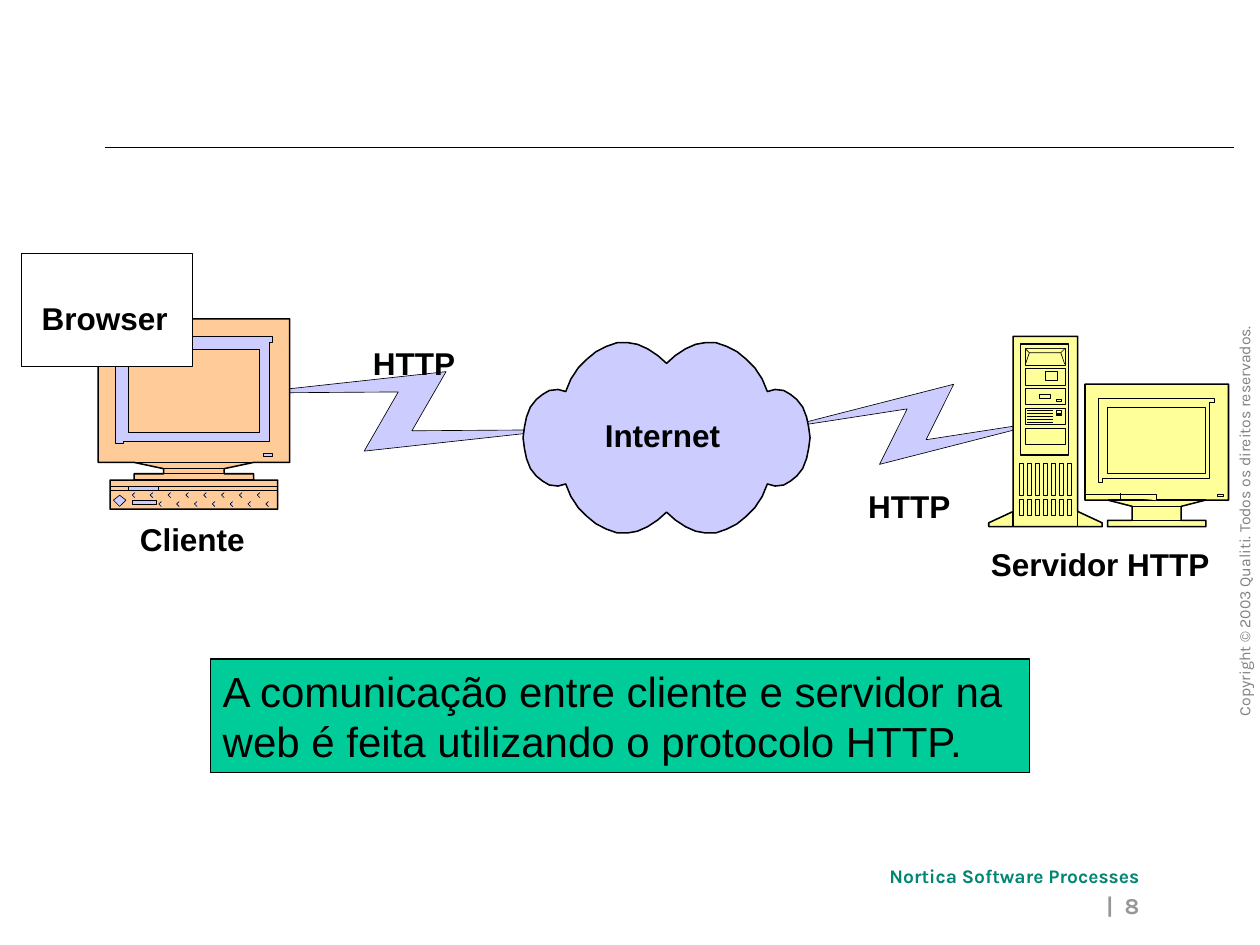
from dataclasses import dataclass, field
from typing import Any

from lxml.etree import SubElement
from pptx import Presentation
from pptx.dml.color import RGBColor
from pptx.enum.shapes import MSO_CONNECTOR as Link, MSO_SHAPE as Preset
from pptx.enum.text import MSO_ANCHOR as Anchor, MSO_AUTO_SIZE as Fit, PP_ALIGN as Align
from pptx.oxml.ns import qn
from pptx.util import Pt

Point = tuple[float, float]
Contour = list[Point]


@dataclass(frozen=True)
class Theme:
    ink: str = "000000"
    paper: str = "FFFFFF"
    client: str = "FFCC99"
    network: str = "CCCCFF"
    server: str = "FFFF99"
    message: str = "00CC99"
    brand: str = "008673"
    page: str = "969696"
    notice: str = "808080"
    thin: float = 0.37
    rule: float = 0.75
    bold_line: float = 0.88
    label: dict[str, Any] = field(
        default_factory=lambda: dict(name="Arial", size=Pt(18), bold=True))
    body: dict[str, Any] = field(
        default_factory=lambda: dict(name="Arial", size=Pt(24)))
    footer: dict[str, Any] = field(
        default_factory=lambda: dict(name="Karla", size=Pt(11), bold=True))
    number: dict[str, Any] = field(
        default_factory=lambda: dict(name="Karla", size=Pt(13), bold=True))
    small: dict[str, Any] = field(
        default_factory=lambda: dict(name="Karla", size=Pt(9)))


@dataclass(frozen=True)
class Box:
    left: float
    top: float
    width: float
    height: float

    def emu(self) -> list[int]:
        return [Pt(v) for v in (self.left, self.top, self.width, self.height)]

    def contour(self) -> Contour:
        right, bottom = self.left + self.width, self.top + self.height
        return [(self.left, self.top), (right, self.top), (right, bottom), (self.left, bottom)]


@dataclass(frozen=True)
class Label:
    text: str
    box: Box
    style: dict[str, Any]
    color: str
    wrap: bool = True
    inset: Point = (0, 0)
    align: Any = Align.LEFT
    rotation: float = 0


THEME = Theme()
deck = Presentation()
deck.slide_width, deck.slide_height = Pt(720), Pt(540)
slide = deck.slides.add_slide(deck.slide_layouts[6])
shapes = slide.shapes


def paint(shape: Any, fill: str, weight: float) -> None:
    shape.shadow.inherit = False
    shape.fill.solid()
    shape.fill.fore_color.rgb = RGBColor.from_string(fill)
    shape.line.color.rgb = RGBColor.from_string(THEME.ink)
    shape.line.width = Pt(weight)


def draw_box(box: Box, fill: str, weight: float = THEME.thin) -> Any:
    shape = shapes.add_shape(Preset.RECTANGLE, *box.emu())
    paint(shape, fill, weight)
    return shape


def draw_outline(contours: list[Contour], fill: str, weight: float = THEME.thin,
                 close: bool = True) -> None:
    to_emu = [[(Pt(x), Pt(y)) for x, y in contour] for contour in contours]
    builder = shapes.build_freeform(*to_emu[0][0])
    for index, (start, *rest) in enumerate(to_emu):
        if index:
            builder.move_to(*start)
        builder.add_line_segments(rest, close=close)
    paint(builder.convert_to_shape(), fill, weight)


def draw_line(start: Point, end: Point, weight: float = THEME.thin) -> None:
    line = shapes.add_connector(Link.STRAIGHT, *[Pt(v) for v in (*start, *end)])
    line.line.color.rgb = RGBColor.from_string(THEME.ink)
    line.line.width = Pt(weight)
    SubElement(line._element.spPr, qn("a:effectLst"))


def draw_bars(axis: float, bars: list[Point], weight: float) -> None:
    for half, y in bars:
        draw_line((axis - half, y), (axis + half, y), weight)


def write(shape: Any, label: Label) -> None:
    frame = shape.text_frame
    side, end = label.inset
    layout = dict(word_wrap=label.wrap, auto_size=Fit.SHAPE_TO_FIT_TEXT,
                  vertical_anchor=Anchor.TOP, margin_left=Pt(side), margin_right=Pt(side),
                  margin_top=Pt(end), margin_bottom=Pt(end))
    for name, value in layout.items():
        setattr(frame, name, value)
    paragraph = frame.paragraphs[0]
    paragraph.alignment = label.align
    run = paragraph.add_run()
    run.text = label.text
    for name, value in label.style.items():
        setattr(run.font, name, value)
    run.font.color.rgb = RGBColor.from_string(label.color)


def draw_label(label: Label) -> None:
    holder = shapes.add_textbox(*label.box.emu())
    holder.rotation = label.rotation
    write(holder, label)


def caption(text: str, box: Box) -> None:
    draw_label(Label(text, box, THEME.label, THEME.ink))


def mirrored(axis: float, profile: Contour) -> Contour:
    return ([(axis + half, y) for half, y in profile]
            + [(axis - half, y) for half, y in reversed(profile)])


def draw_bolt(start: Point, tip: Point, notch: Point, center: Point) -> None:
    half = [start, tip, notch]
    turned = [(2 * center[0] - x, 2 * center[1] - y) for x, y in half]
    draw_outline([half + turned], THEME.network)


def draw_client() -> None:
    axis = 110.8
    case = [(54.7, 182.2), (54.7, 264.2), (34.2, 264.2), (17.3, 267.8), (17.3, 270.7),
            (34.2, 270.7), (34.2, 274.3), (47.9, 274.3), (47.9, 290.9)]
    draw_outline([mirrored(axis, case)], THEME.client, THEME.bold_line)
    draw_bars(axis, [(34.2, 274.3), (17.3, 270.7), (17.3, 267.8), (34.2, 264.2)],
              THEME.bold_line)
    diamond = [(68.4, 289.4), (72, 285.8), (68.4, 283), (64.8, 285.8)]
    bezel = [(70.6, 252), (154.1, 252), (154.1, 195.8), (155.5, 195.8),
             (155.5, 192.2), (66.2, 192.2), (66.2, 253.4), (70.6, 253.4)]
    draw_outline([Box(73.4, 277.9, 17.3, 2.2).contour(), diamond,
                  Box(73.4, 199.4, 74.9, 47.6).contour(), bezel,
                  Box(150.5, 259.2, 5, 1.4).contour()], THEME.network)
    draw_box(Box(75.6, 285.8, 13.7, 2.2), THEME.network)
    draw_bars(axis, [(47.9, 277.9), (47.9, 280.1)], THEME.thin)
    for left, top, count in ((75.6, 281.5, 8), (90.7, 286.6, 7)):
        for x in (left + 10.2 * i for i in range(count)):
            draw_outline([[(x + 1.5, top), (x, top + 1.4), (x + 1.5, top + 2.9)]],
                         THEME.network, close=False)
    caption("Cliente", Box(79.9, 297.4, 72, 21.6))


def draw_server() -> None:
    tower_axis, monitor_axis = 597.4, 661
    tower = [(18.4, 192.2), (18.4, 292.3), (32.4, 298.8), (32.4, 301)]
    monitor = [(41, 219.6), (41, 285.8), (28.1, 285.8), (14, 289.4),
               (14, 297.4), (28.1, 297.4), (28.1, 301)]
    draw_outline([mirrored(tower_axis, tower), mirrored(monitor_axis, monitor)],
                 THEME.server, THEME.bold_line)
    for x in (tower_axis - 18.4, tower_axis + 18.4):
        draw_line((x, 292.3), (x, 301), THEME.bold_line)
    draw_box(Box(583.2, 196.6, 27.4, 63.4), THEME.server, THEME.bold_line)
    draw_bars(monitor_axis, [(14, 297.4), (14, 289.4), (28.1, 285.8)], THEME.bold_line)
    draw_outline([Box(582.5 + 4.56 * i, top, 2.4, height).contour()
                  for top, height in ((265, 18), (285.1, 9.4)) for i in range(7)],
                 THEME.server)
    for bay in range(5):
        draw_box(Box(586, 199.2 + 11.35 * bay, 22.8, 9.4), THEME.server)
    draw_outline([[(586, 199.4), (588.2, 201.6), (606.2, 201.6), (608.4, 199.4)]],
                 THEME.server, close=False)
    draw_line((586, 208.1), (588.2, 201.6))
    draw_line((606.2, 201.6), (608.4, 208.1))
    for slot in range(5):
        y = 234.7 + 1.62 * slot
        draw_line((586.8, y), (601.9, y))
    for button in (Box(597.6, 212.4, 6.5, 5), Box(603.4, 228.2, 2.9, 1.4),
                   Box(603.4, 234.7, 2.9, 1.4), Box(603.4, 236.9, 2.9, 0.7)):
        draw_box(button, THEME.server)
    bezel = [(630, 273.6), (691.2, 273.6), (691.2, 229.7), (694.1, 229.7),
             (694.1, 227.5), (627.8, 227.5), (627.8, 275.8), (630, 275.8)]
    draw_outline([Box(594, 225.4, 6.5, 2.1).contour(), Box(695.5, 282.2, 3.6, 1.5).contour(),
                  Box(632.9, 232.6, 56.1, 38.1).contour(), bezel], THEME.server)
    draw_outline([[(619.9, 282.2), (661, 282.2), (661, 285.8)]], THEME.server, close=False)
    draw_line((640.1, 285.8), (640.1, 281.5))
    caption("Servidor HTTP", Box(566.2, 311.4, 136, 21.6))


def draw_cloud() -> None:
    x, y = 380.9, 250.2
    quarter = [(0, 42.5), (5, 47), (10.8, 50.8), (16.6, 53.4), (22.3, 54.4), (28.1, 54.4),
               (34.4, 52.2), (40.3, 49.2), (45.4, 45), (50.4, 40), (54.7, 33.5),
               (57.6, 26.4), (62, 27.6), (67, 27), (70.8, 24.8), (74.4, 21.9),
               (77.8, 17.6), (80, 11.9), (81.2, 6.1), (82, 0)]
    half = ([(dx, y - dy) for dx, dy in quarter]
            + [(dx, y + dy) for dx, dy in reversed(quarter[:-1])])
    draw_outline([mirrored(x, half)], THEME.network, THEME.bold_line)
    caption("Internet", Box(345.6, 237.6, 76, 21.6))


draw_line((704.9, 84.2), (59.8, 84.2), THEME.rule)
PAD = (7.2, 3.6)
for note in (
    Label("Copyright © 2003 Qualiti. Todos os direitos reservados.",
          Box(587.5, 283.7, 247, 18), THEME.small, THEME.notice, wrap=False,
          inset=PAD, rotation=270),
    Label("Nortica Software Processes", Box(501.1, 490.3, 170, 20.9),
          THEME.footer, THEME.brand, inset=PAD),
    Label("|  8", Box(310.3, 506.2, 347.8, 23.8), THEME.number, THEME.page,
          inset=PAD, align=Align.RIGHT),
):
    draw_label(note)
draw_bolt((143.3, 224.6), (254.9, 212.4), (235.4, 246.2), (231.5, 235.1))
draw_bolt((446.4, 244.8), (545, 219.6), (529.2, 251.3), (523.8, 242.5))
draw_client()
draw_server()
draw_box(Box(12.2, 144.7, 97.9, 64.8), THEME.paper)
caption("Browser", Box(23.8, 170.9, 82, 21.6))
for left, top in ((213.1, 196.6), (496.1, 278.6)):
    caption("HTTP", Box(left, top, 58, 21.6))
draw_cloud()
summary = Label("A comunicação entre cliente e servidor na web é feita utilizando o protocolo HTTP.",
                Box(120.2, 376.6, 468, 64.8), THEME.body, THEME.ink, inset=PAD)
write(draw_box(summary.box, THEME.message, THEME.rule), summary)
deck.save("out.pptx")
